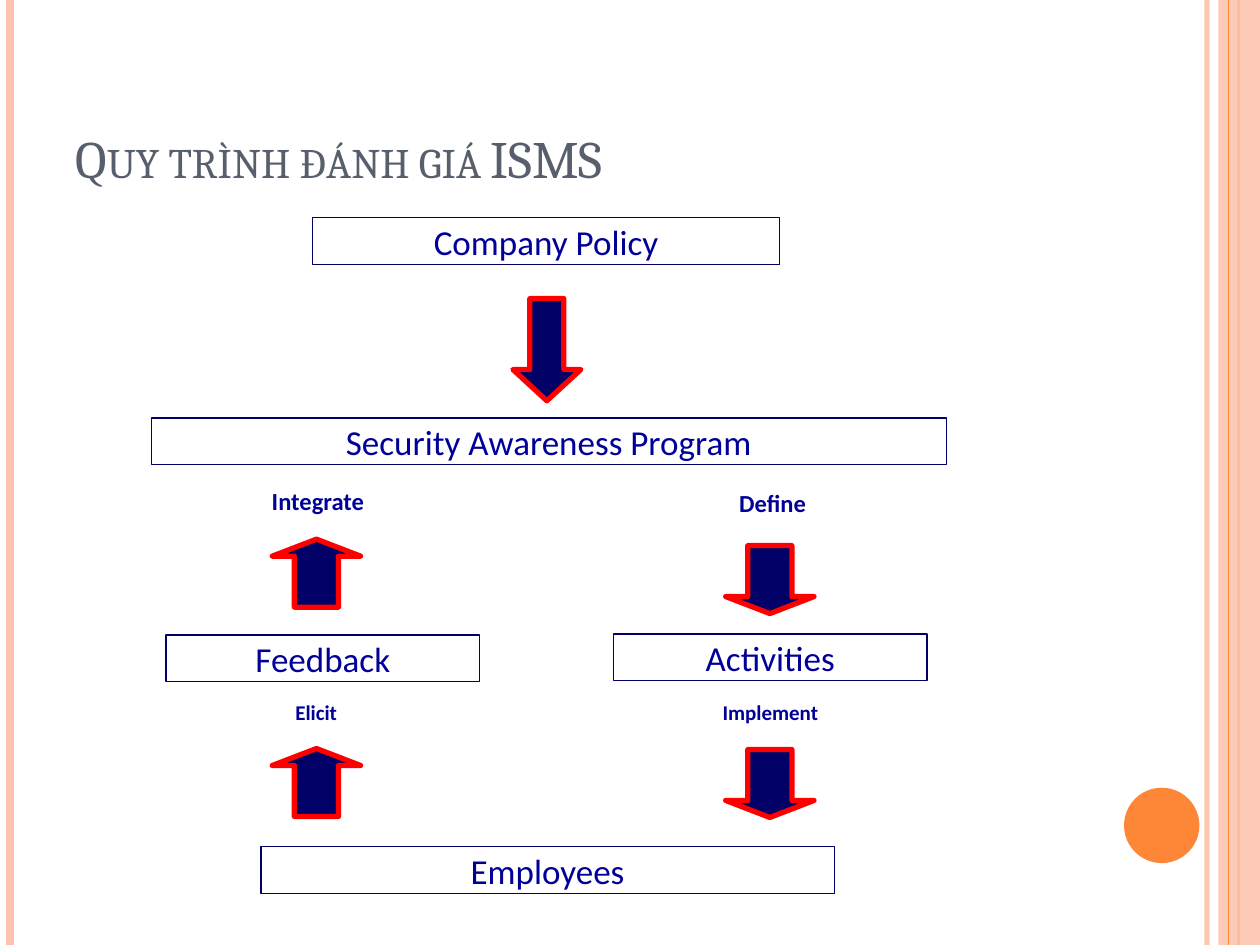
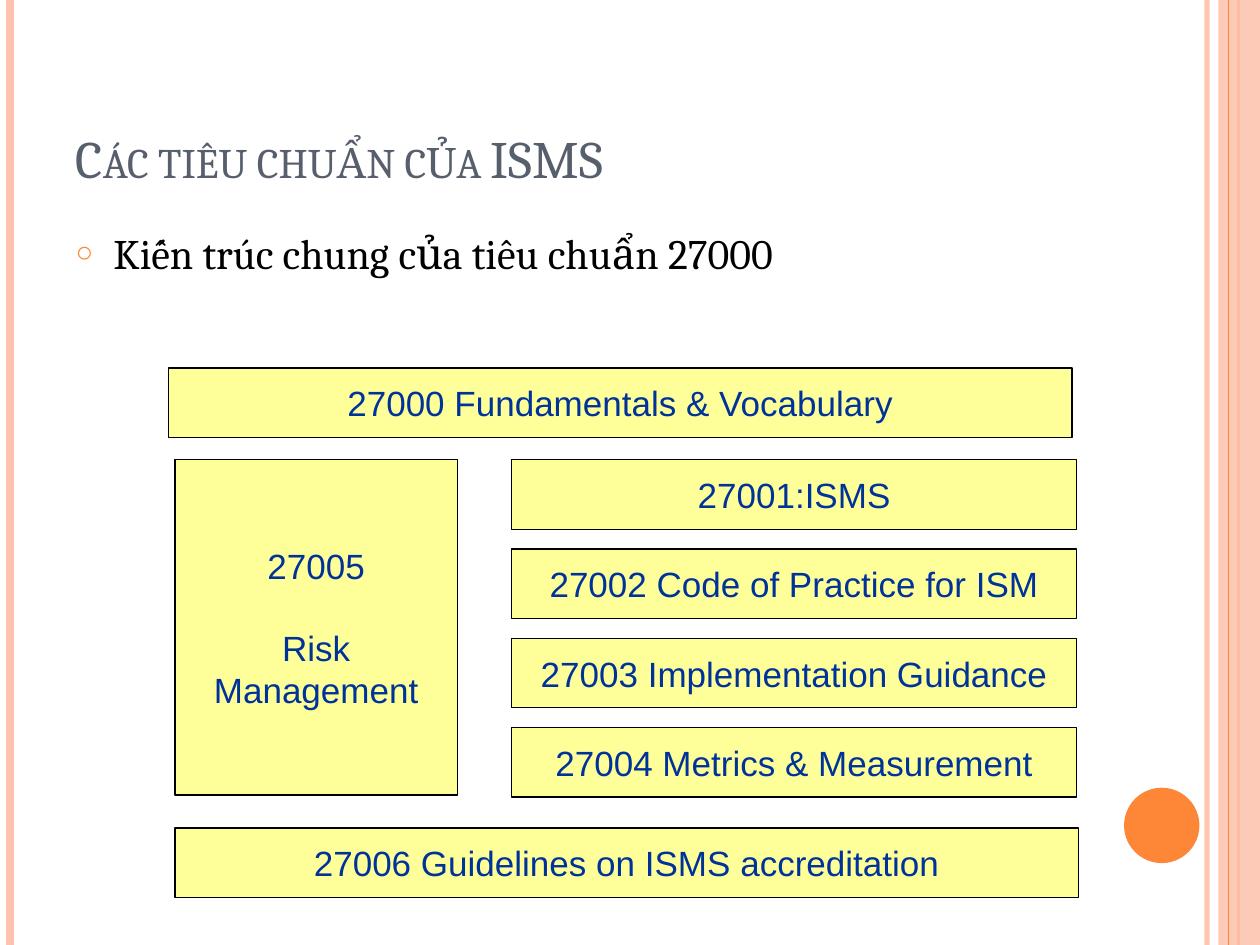
from pptx import Presentation
from pptx.dml.color import RGBColor
from pptx.enum.shapes import MSO_CONNECTOR, MSO_SHAPE
from pptx.enum.text import MSO_ANCHOR, MSO_AUTO_SIZE, PP_ALIGN
from pptx.oxml import parse_xml
from pptx.oxml.ns import nsdecls
from pptx.util import Cm, Pt

RECT, OVAL = MSO_SHAPE.RECTANGLE, MSO_SHAPE.OVAL
DOWN, UP = MSO_SHAPE.DOWN_ARROW, MSO_SHAPE.UP_ARROW
STRAIGHT = MSO_CONNECTOR.STRAIGHT
LEFT, CENTER = PP_ALIGN.LEFT, PP_ALIGN.CENTER
TOP, MIDDLE, BOTTOM = MSO_ANCHOR.TOP, MSO_ANCHOR.MIDDLE, MSO_ANCHOR.BOTTOM
FIXED = MSO_AUTO_SIZE.NONE

WIDE, HIGH = 25.4, 19.05
PEACH, ORANGE, SLATE = "FEC3AE", "FE8637", "575F6D"
NAVY, BLUE, RED = "000066", "000099", "FF0000"
CREAM, ROYAL, BLACK = "FFFF99", "003399", "000000"


def color(code):
    return RGBColor.from_string(code)


def node(tag, attrs="", inner=""):
    return parse_xml(f"<a:{tag} {nsdecls('a')} {attrs}>{inner}</a:{tag}>")


def place(shape, left, top, width, height):
    shape.left, shape.top = Cm(left), Cm(top)
    shape.width, shape.height = Cm(width), Cm(height)


def fade(shape, percent):
    """Make the colours of a shape partly transparent."""
    for tone in shape.element.xpath("./p:spPr//a:srgbClr"):
        tone.append(node("alpha", f'val="{percent * 1000}"'))


class Deck:
    def __init__(self):
        self.show = Presentation()
        self.show.slide_width, self.show.slide_height = Cm(WIDE), Cm(HIGH)
        self.slide = None

    def start(self, layout, title):
        first = self.slide is None
        self.slide = self.show.slides.add_slide(self.show.slide_layouts[layout])
        if first:
            self.frame()
        head = self.slide.shapes.title
        place(head, 1.27, 0.76, 20.75, 3.18)
        self.label(head, title, "Cambria", 30, SLATE, align=LEFT, anchor=BOTTOM)
        for props in head.element.xpath(".//a:rPr"):
            props.set("cap", "small")

    def frame(self):
        """Draw the side bands once and hand them to the slide master."""
        edge = self.rule(24.33, PEACH, 3)
        fade(edge, 93)
        left = self.rule(0.2, PEACH, 4.5)
        outer = self.rule(24.97, ORANGE, 1.5)
        band = self.shape(RECT, (24.56, 0, 0.84, HIGH), PEACH)
        fade(band, 87)
        inner = self.rule(24.77, ORANGE, 0.75)
        dot = self.shape(OVAL, (22.66, 15.88, 1.52, 1.52), ORANGE)
        tree = self.show.slide_master.shapes.element
        for number, part in enumerate((edge, left, outer, band, inner, dot), 20):
            part.element.xpath(".//p:cNvPr")[0].set("id", str(number))
            tree.append(part.element)

    def rule(self, x, tone, weight):
        line = self.slide.shapes.add_connector(STRAIGHT, Cm(x), 0, Cm(x), Cm(HIGH))
        line.line.color.rgb, line.line.width = color(tone), Pt(weight)
        line.element.spPr.append(node("effectLst"))
        return line

    def shape(self, kind, spot, fill=None, line=None, weight=0.75):
        item = self.slide.shapes.add_shape(kind, *map(Cm, spot))
        item.shadow.inherit = False
        if fill:
            item.fill.solid()
            item.fill.fore_color.rgb = color(fill)
        else:
            item.fill.background()
        if line:
            item.line.color.rgb, item.line.width = color(line), Pt(weight)
        else:
            item.line.fill.background()
        return item

    def label(self, item, text, font, size, tone, bold=False, align=CENTER,
              anchor=MIDDLE, wrap=True):
        frame = item.text_frame
        frame.text = text
        frame.word_wrap, frame.auto_size = wrap, FIXED
        frame.vertical_anchor = anchor
        for para in frame.paragraphs:
            para.alignment = align
            for run in para.runs:
                run.font.name, run.font.size = font, Pt(size)
                run.font.bold, run.font.color.rgb = bold, color(tone)
        return frame

    def step(self, text, left, top, width):
        box = self.shape(RECT, (left, top, width, 0.94), line=NAVY)
        self.trim(self.label(box, text, "Calibri", 20, BLUE))

    def verb(self, text, size, left, top, width, height):
        box = self.slide.shapes.add_textbox(*map(Cm, (left, top, width, height)))
        self.trim(self.label(box, text, "Calibri", size, BLUE, bold=True))

    def trim(self, frame):
        """Remove the inner margins."""
        frame.margin_left = frame.margin_right = 0
        frame.margin_top = frame.margin_bottom = 0

    def arrow(self, kind, left, top, width=1.78, height=1.37, tip=0.25):
        item = self.shape(kind, (left, top, width, height), NAVY, RED, 3)
        item.adjustments[0], item.adjustments[1] = 0.5, tip

    def card(self, text, left, top, width, height=1.4):
        box = self.shape(RECT, (left, top, width, height), CREAM, BLACK)
        return self.label(box, text, "Arial", 20, ROYAL, wrap=False)

    def bullet(self, text):
        body = self.slide.placeholders[1]
        place(body, 1.27, 4.45, 20.75, 13.54)
        frame = self.label(body, text, "Cambria", 24, BLACK, align=LEFT, anchor=TOP)
        frame.paragraphs[0].space_before = Pt(6)
        props = body.element.xpath(".//a:pPr")[0]
        props.set("marL", str(Cm(0.76)))
        props.set("indent", str(-Cm(0.76)))
        props.append(node("buClr", "", f'<a:srgbClr val="{ORANGE}"/>'))
        props.append(node("buSzPct", 'val="70000"'))
        props.append(node("buChar", 'char="○"'))


def policy(deck):
    deck.start(5, "Quy trình đánh giá ISMS")
    deck.arrow(DOWN, 10.34, 6.02, 1.37, 2.06, 0.46)
    for kind, left, top in ((DOWN, 14.63, 11), (DOWN, 14.63, 15.11),
                            (UP, 5.49, 15.09), (UP, 5.49, 10.87)):
        deck.arrow(kind, left, top)
    deck.verb("Define", 14, 14.1, 9.68, 2.95, 0.89)
    deck.verb("Implement", 12, 13.64, 14.02, 3.78, 0.69)
    deck.verb("Elicit", 12, 4.7, 14.12, 3.35, 0.46)
    deck.verb("Integrate", 14, 4.39, 9.68, 4.04, 0.84)
    deck.step("Employees", 5.26, 17.07, 11.56)
    deck.step("Security Awareness Program", 3.05, 8.43, 16.03)
    deck.step("Feedback", 3.35, 12.8, 6.32)
    deck.step("Activities", 12.37, 12.78, 6.32)
    deck.step("Company Policy", 6.3, 4.39, 9.42)


def norms(deck):
    deck.start(1, "Các tiêu chuẩn của ISMS")
    deck.bullet("Kiến trúc chung của tiêu chuẩn 27000")
    deck.card("27000 Fundamentals & Vocabulary", 3.4, 7.42, 18.21)
    rows = ("27001:ISMS", "27002 Code of Practice for ISM",
            "27003 Implementation Guidance", "27004 Metrics & Measurement")
    for index, text in enumerate(rows):
        deck.card(text, 10.31, 9.27 + 1.8 * index, 11.4)
    risk = deck.card("27005\nRisk\nManagement", 3.53, 9.27, 5.69, 6.76)
    risk.paragraphs[1].space_before = Pt(23)
    deck.card("27006 Guidelines on ISMS accreditation", 3.53, 16.69, 18.21)


def main():
    deck = Deck()
    policy(deck)
    norms(deck)
    deck.show.save("out.pptx")


if __name__ == "__main__":
    main()
